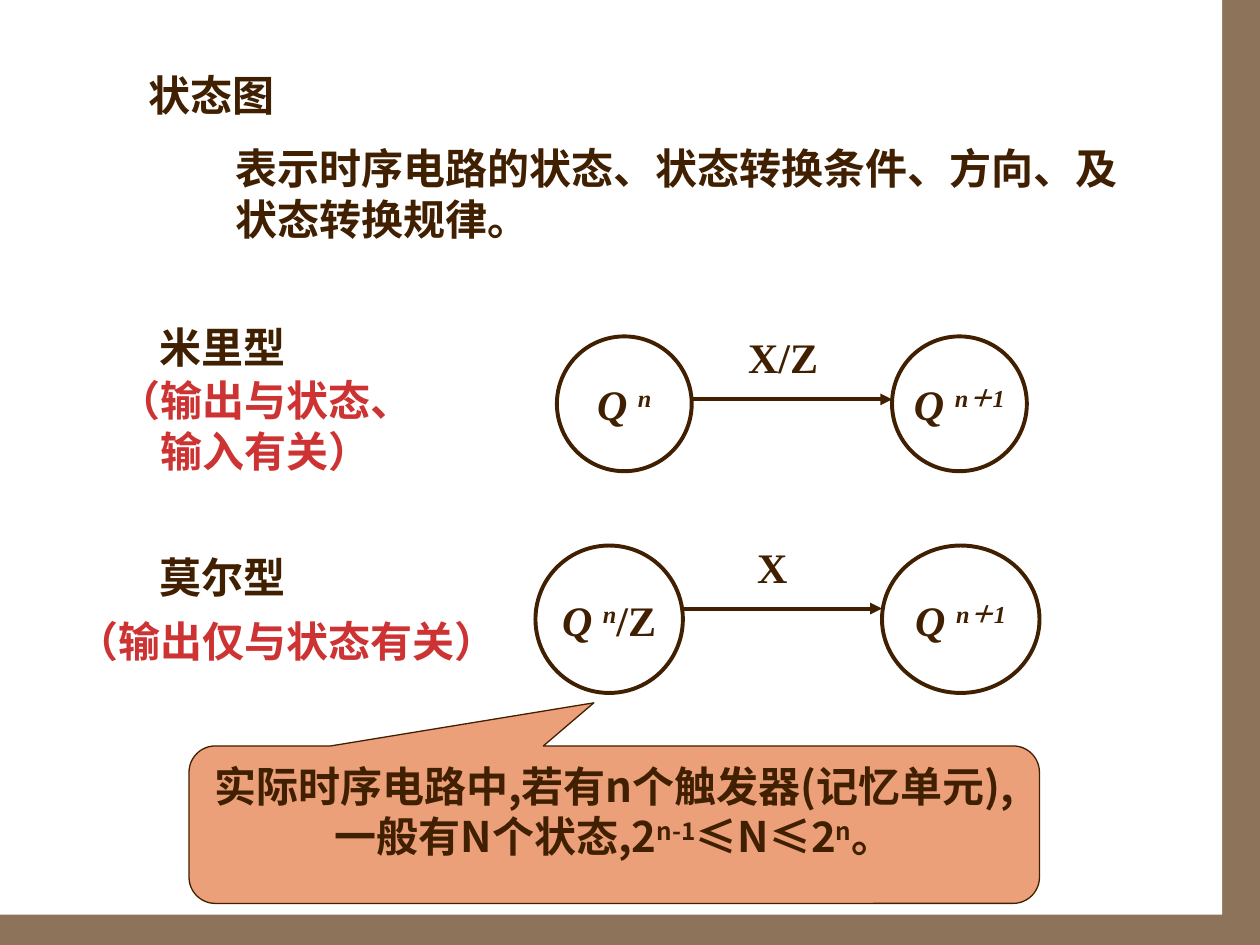
from pptx import Presentation
from pptx.util import Inches, Pt
from pptx.dml.color import RGBColor as RGB
from pptx.enum.shapes import MSO_SHAPE as Shape, MSO_CONNECTOR as Conn
from pptx.enum.text import PP_ALIGN as Align, MSO_ANCHOR as Anchor
from pptx.oxml.ns import qn
from lxml.etree import SubElement

THEME = {
    "ink": "402000", "red": "CD3333", "paper": "FFFFFF",
    "edge": "8C735A", "note": "ECA07A",
    "serif": "Times New Roman", "sans": "Noto Sans CJK SC",
    "size": 24, "lead": 29, "thick": 2.25, "thin": 0.75,
}

# Content: a paragraph is a list of (text, style); i = italic, ^ = superscript
TITLE = [[("状态图", "")]]
NEXT = [[("Q ", "i"), ("n＋1", "i^")]]
NOTE = [[("实际时序电路中,若有n个触发器(记忆单元),一般有N个状态,2", ""),
         ("n-1", "^"), ("≤N≤2", ""), ("n", "^"), ("。", "")]]

# Labels: lines, box, font, colour, alignment
LABELS = [
    (["表示时序电路的状态、状态转换条件、方向、及", "状态转换规律。"],
     (1.77, 1.08, 7.2, 0.9), "sans", "ink", Align.LEFT),
    (["米里型"], (1.17, 2.5, 1.2, 0.5), "serif", "ink", Align.CENTER),
    (["（输出与状态、", "输入有关）"],
     (0.84, 2.92, 2.53, 0.9), "sans", "red", Align.CENTER),
    (["莫尔型"], (1.17, 4.33, 1.2, 0.5), "serif", "ink", Align.CENTER),
    (["（输出仅与状态有关）"],
     (0.51, 4.83, 3.53, 0.5), "sans", "red", Align.CENTER),
    (["X/Z"], (5.81, 2.58, 0.81, 0.5), "serif", "ink", Align.CENTER),
    (["X"], (5.91, 4.25, 0.44, 0.5), "serif", "ink", Align.CENTER),
]

# State pairs: top, height, then (left, width, text) of each state
PAIRS = [
    (2.67, 1.07, (4.42, 1.07, [[("Q ", "i"), ("n", "i^")]]),
     (7.08, 1.07, NEXT)),
    (4.33, 1.17, (4.25, 1.17, [[("Q ", "i"), ("n", "i^"), ("/Z", "")]]),
     (7, 1.25, NEXT)),
]
DROP = 0.5  # arrow height below the top of its states


def tint(name):
    return RGB.from_string(THEME[name])


def inch(box):
    return [Inches(v) for v in box]


def write(frame, paras, face="serif", color="ink", align=Align.CENTER,
          anchor=Anchor.TOP, wrap=False):
    look = {"word_wrap": wrap, "vertical_anchor": anchor,
            "margin_left": Inches(0.1), "margin_right": Inches(0.1),
            "margin_top": Inches(0.05), "margin_bottom": Inches(0.05)}
    for key, val in look.items():
        setattr(frame, key, val)
    for k, runs in enumerate(paras):
        para = frame.add_paragraph() if k else frame.paragraphs[0]
        para.alignment = align
        if face == "sans":
            para.line_spacing = Pt(THEME["lead"])
        for text, style in runs:
            run = para.add_run()
            run.text = text
            form = {"name": THEME[face], "size": Pt(THEME["size"]),
                    "bold": True, "italic": "i" in style}
            for key, val in form.items():
                setattr(run.font, key, val)
            run.font.color.rgb = tint(color)
            props = run._r.get_or_add_rPr()
            SubElement(props, qn("a:ea"), typeface=THEME["sans"])
            if "^" in style:
                props.set("baseline", "30000")


def draw(slide, kind, box, fill, width=None):
    shape = slide.shapes.add_shape(kind, *inch(box))
    shape.shadow.inherit = False
    shape.fill.solid()
    shape.fill.fore_color.rgb = tint(fill)
    if width:
        shape.line.color.rgb = tint("ink")
        shape.line.width = Pt(width)
    else:
        shape.line.fill.background()
    return shape


def arrow(slide, start, end, y):
    line = slide.shapes.add_connector(Conn.STRAIGHT, *inch((start, y, end, y)))
    line.line.color.rgb = tint("ink")
    line.line.width = Pt(THEME["thick"])
    SubElement(line.line._get_or_add_ln(), qn("a:tailEnd"), type="triangle")
    SubElement(line._element.spPr, qn("a:effectLst"))


def main():
    deck = Presentation()
    deck.slide_width, deck.slide_height = inch((10, 7.5))
    slide = deck.slides.add_slide(deck.slide_layouts[5])

    # Background and white page, kept behind the title
    slide.background.fill.solid()
    slide.background.fill.fore_color.rgb = tint("edge")
    page = draw(slide, Shape.RECTANGLE, (0, 0, 9.7, 7.26), "paper")
    slide.shapes._spTree.insert(2, page._element)

    # Title
    title = slide.shapes.title
    title.left, title.top, title.width, title.height = inch(
        (1.08, 0.5, 1.58, 0.5))
    write(title.text_frame, TITLE, align=Align.LEFT, anchor=Anchor.MIDDLE,
          wrap=True)

    # States and their arrows
    for top, high, *states in PAIRS:
        for left, wide, text in states:
            oval = draw(slide, Shape.OVAL, (left, top, wide, high), "paper",
                        THEME["thick"])
            write(oval.text_frame, text, anchor=Anchor.MIDDLE)
        (left, wide, _), (end, _, _) = states
        arrow(slide, left + wide, end, top + DROP)

    # Labels
    for lines, box, face, color, align in LABELS:
        label = slide.shapes.add_textbox(*inch(box))
        write(label.text_frame, [[(line, "")] for line in lines],
              face, color, align)

    # Callout
    note = draw(slide, Shape.ROUNDED_RECTANGULAR_CALLOUT,
                (1.5, 5.92, 6.75, 1.25), "note", THEME["thin"])
    for k, val in enumerate((-0.024, -0.774, 0.167)):
        note.adjustments[k] = val
    write(note.text_frame, NOTE, "sans", wrap=True)

    deck.save("out.pptx")


if __name__ == "__main__":
    main()
